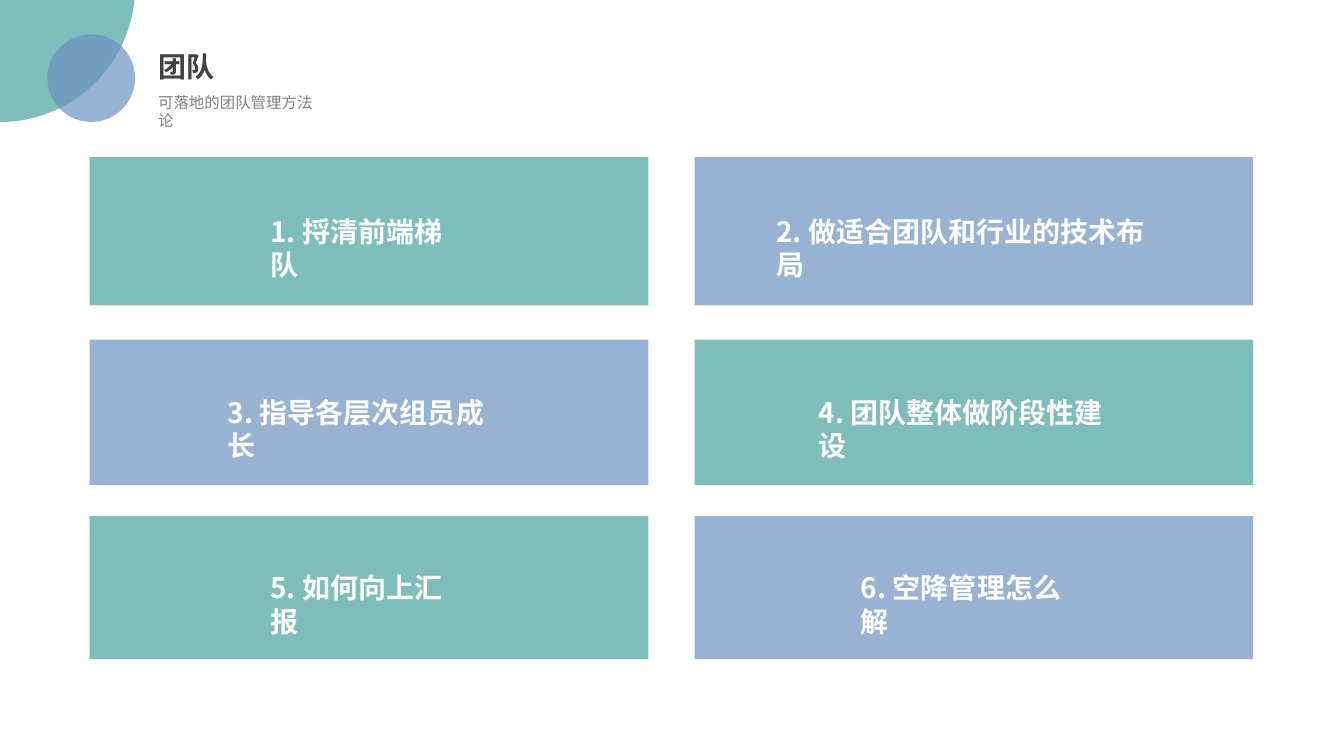
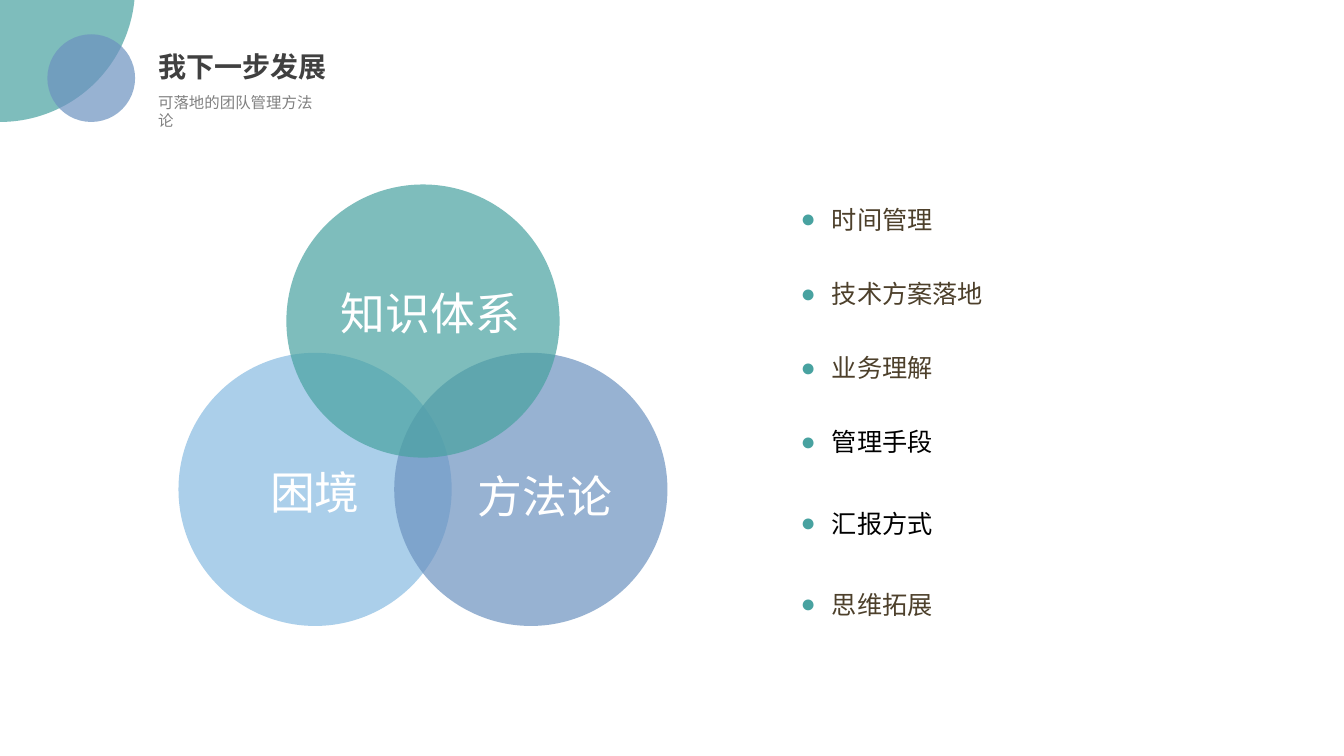
import lxml.etree
import pptx
import pptx.dml.color
import pptx.enum.shapes
import pptx.enum.text
import pptx.oxml.ns
import pptx.util

Inches, Pt = pptx.util.Inches, pptx.util.Pt
qn = pptx.oxml.ns.qn
SHAPE = pptx.enum.shapes.MSO_SHAPE

FONT = "Noto Sans CJK SC"
TEAL, BLUE, SKY = "48A2A0", "6C92C0", "0070C0"
WHITE, DARK, GREY = "FFFFFF", "404040", "808080"
BROWN, BLACK = "4D402B", "000000"
TITLE_ONLY, TITLE_BODY = 5, 1
SUBTITLE = "可落地的团队管理方法论"


def rgb(value):
    """Turn a hex string into a colour."""
    return pptx.dml.color.RGBColor.from_string(value)


def place(s, x, y, w, h):
    """Move and size a shape, in inches."""
    s.left, s.top, s.width, s.height = Inches(x), Inches(y), Inches(w), Inches(h)


def style_run(r, size, color, bold=False):
    """Format one run, for Latin and East Asian text alike."""
    r.font.size, r.font.bold, r.font.name = Pt(size), bold, FONT
    r.font.color.rgb = rgb(color)
    ea = lxml.etree.SubElement(r.font._element, qn("a:ea"))
    ea.set("typeface", FONT)


def set_frame(tf):
    """Give a text frame top anchoring, wrapping and a fixed size."""
    tf.word_wrap = True
    tf.auto_size = pptx.enum.text.MSO_AUTO_SIZE.NONE
    tf.vertical_anchor = pptx.enum.text.MSO_ANCHOR.TOP


def write(s, text, size, color, bold=False):
    """Put one left-aligned paragraph in a shape."""
    tf = s.text_frame
    set_frame(tf)
    tf.text = text
    p = tf.paragraphs[0]
    p.alignment = pptx.enum.text.PP_ALIGN.LEFT
    style_run(p.runs[0], size, color, bold)


def add_label(slide, box, text, size, color, bold=False):
    """Add a text box."""
    s = slide.shapes.add_textbox(*[Inches(v) for v in box])
    write(s, text, size, color, bold)


def add_block(slide, kind, box, color, opacity=70):
    """Add a translucent shape without an outline."""
    s = slide.shapes.add_shape(kind, *[Inches(v) for v in box])
    s.shadow.inherit = False
    s.line.fill.background()
    s.fill.solid()
    s.fill.fore_color.rgb = rgb(color)
    clr = s.element.spPr.find(".//" + qn("a:srgbClr"))
    lxml.etree.SubElement(clr, qn("a:alpha")).set("val", str(opacity * 1000))


def add_page(prs, layout, title):
    """Add a slide with the corner circles, title and subtitle."""
    slide = prs.slides.add_slide(prs.slide_layouts[layout])
    add_block(slide, SHAPE.OVAL, (-1.34, -1.47, 2.68, 2.68), TEAL)
    add_block(slide, SHAPE.OVAL, (0.47, 0.34, 0.87, 0.87), BLUE)
    place(slide.shapes.title, 1.47, 0.44, 5, 0.44)
    write(slide.shapes.title, title, 20, DARK, True)
    add_label(slide, (1.47, 0.87, 1.87, 0.28), SUBTITLE, 11, GREY)
    return slide


def add_card(slide, box, number, text, color):
    """Add a card with a numbered label centred in its box."""
    x, y, w, h = box
    add_block(slide, SHAPE.RECTANGLE, box, color)
    label_w, label_h = 0.48 + 0.28 * len(text), 0.44
    label_box = (x + (w - label_w) / 2, y + (h - label_h) / 2, label_w, label_h)
    add_label(slide, label_box, f"{number}. {text}", 20, WHITE, True)


def add_card_grid(slide, x, w, gap, rows, texts):
    """Lay out two columns of cards in alternating colours."""
    for i, text in enumerate(texts):
        row, col = divmod(i, 2)
        y, h = rows[row]
        color = (TEAL, BLUE)[(row + col) % 2]
        add_card(slide, (x + col * (w + gap), y, w, h), i + 1, text, color)


def add_venn(slide, x, y, d):
    """Draw three overlapping circles, then their labels."""
    step, drop = 1.07, 1.67
    circles = [(0, drop, SKY, 33), (2 * step, drop, BLUE, 70), (step, 0, TEAL, 70)]
    for dx, dy, color, opacity in circles:
        add_block(slide, SHAPE.OVAL, (x + dx, y + dy, d, d), color, opacity)
    labels = [("知识体系", 1.51, 0.96), ("困境", 0.81, 2.73), ("方法论", 2.87, 2.77)]
    for text, dx, dy in labels:
        box = (x + dx, y + dy, 0.22 + 0.45 * len(text), 0.64)
        add_label(slide, box, text, 32, WHITE)


def set_bullet(p, indent):
    """Give a paragraph a hanging teal dot."""
    pPr = p._p.get_or_add_pPr()
    pPr.set("marL", str(Inches(indent)))
    pPr.set("indent", str(-Inches(indent)))
    clr = lxml.etree.SubElement(pPr, qn("a:buClr"))
    lxml.etree.SubElement(clr, qn("a:srgbClr")).set("val", TEAL)
    lxml.etree.SubElement(pPr, qn("a:buFont")).set("typeface", "Arial")
    lxml.etree.SubElement(pPr, qn("a:buChar")).set("char", "●")


def add_list(slide, box, items):
    """Fill the body placeholder with (text, colour, space before) items."""
    s = slide.placeholders[1]
    place(s, *box)
    tf = s.text_frame
    set_frame(tf)
    tf.text = "\n".join(text for text, _, _ in items)
    for p, (_, color, before) in zip(tf.paragraphs, items):
        p.line_spacing, p.space_before = Pt(32), Pt(before)
        set_bullet(p, 0.31)
        style_run(p.runs[0], 18, color)


def build_team(prs):
    """Build the slide of six team topics."""
    slide = add_page(prs, TITLE_ONLY, "团队")
    rows = [(1.56, 1.47), (3.37, 1.44), (5.12, 1.42)]
    texts = ["捋清前端梯队", "做适合团队和行业的技术布局", "指导各层次组员成长",
             "团队整体做阶段性建设", "如何向上汇报", "空降管理怎么解"]
    add_card_grid(slide, 0.89, 5.54, 0.46, rows, texts)


def build_growth(prs):
    """Build the slide of next steps."""
    slide = add_page(prs, TITLE_BODY, "我下一步发展")
    add_venn(slide, 1.77, 1.83, 2.71)
    items = [("时间管理", BROWN, 0), ("技术方案落地", BROWN, 21),
             ("业务理解", BROWN, 21), ("管理手段", BLACK, 21),
             ("汇报方式", BLACK, 26), ("思维拓展", BROWN, 26)]
    add_list(slide, (7.84, 1.83, 4, 4.4), items)


prs = pptx.Presentation()
prs.slide_width, prs.slide_height = Inches(13.33), Inches(7.5)
build_team(prs)
build_growth(prs)
prs.save("out.pptx")
